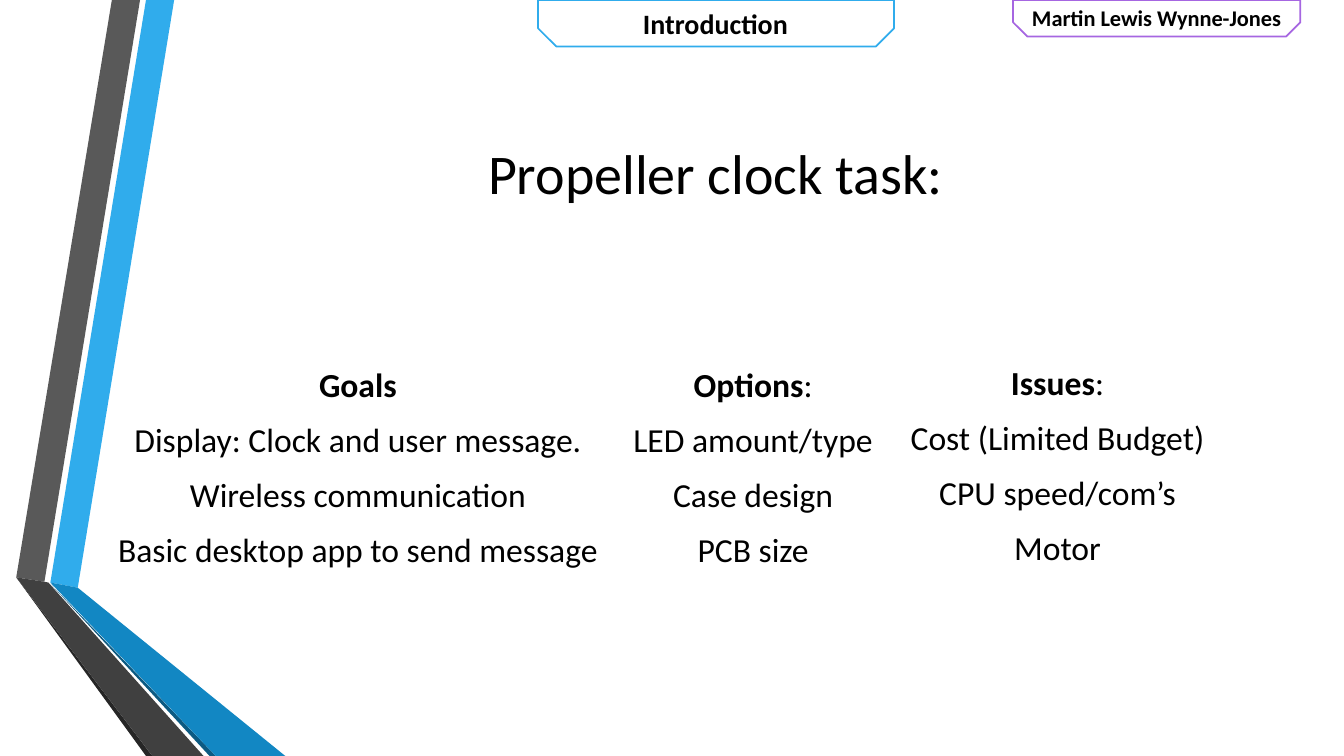
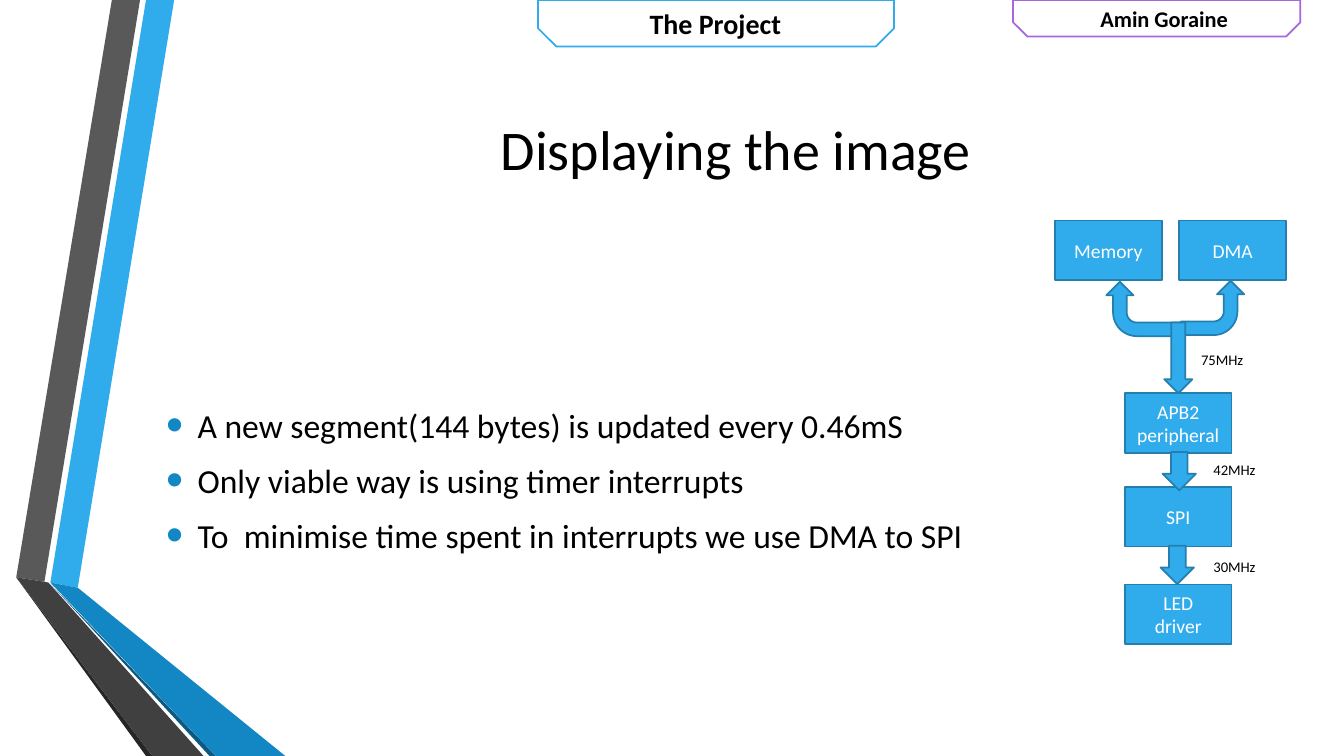
from dataclasses import dataclass

from lxml.etree import SubElement
from pptx import Presentation
from pptx.dml.color import RGBColor
from pptx.enum.shapes import MSO_SHAPE as Shape
from pptx.enum.text import MSO_ANCHOR as Anchor, PP_ALIGN as Align
from pptx.oxml.ns import qn
from pptx.util import Cm, Pt


@dataclass(frozen=True)
class Theme:
    font: str = "Calibri"
    black: str = "000000"
    white: str = "FFFFFF"
    blue: str = "30ACEC"
    blue_edge: str = "247FAF"
    blue_deep: str = "1287C3"
    blue_shade: str = "0C5A82"
    purple: str = "A666E1"
    grey: str = "595959"
    grey_deep: str = "404040"
    grey_shade: str = "262626"
    title: float = 40
    body: float = 24
    section: float = 20
    speaker: float = 16
    node: float = 14
    speed: float = 10.5
    line: float = 1.25
    space_before: float = 4.5
    space_after: float = 6


THEME = Theme()
SLIDE_SIZE = (33.87, 19.05)

BANDS = [
    (THEME.blue, [(1.27, 14.68), (1.96, 14.81), (4.39, 0), (3.68, 0)]),
    (THEME.grey, [(3.53, 0), (2.82, 0), (0.41, 14.55), (1.12, 14.66)]),
    (THEME.grey_shade, [(0.41, 14.55), (3.68, 19.05), (3.84, 19.05)]),
    (THEME.blue_shade, [(1.27, 14.71), (5.28, 19.05), (5.44, 19.05)]),
    (THEME.blue_deep, [(1.27, 14.68), (5.44, 19.05), (7.19, 19.05), (1.96, 14.81)]),
    (THEME.grey_deep, [(5.13, 19.05), (1.22, 14.68), (1.12, 14.66), (0.41, 14.55), (3.84, 19.05)]),
]
SPEAKER_TAB = (25.53, 0, 7.24, 0.92)
SECTION_TAB = (13.56, 0, 8.97, 1.17)
SECTION_TEXT = (14.07, 0.05, 7.92, 1.12)

INTRODUCTION = {
    "section": "Introduction",
    "speaker": "Martin Lewis Wynne-Jones",
    "speaker_box": (25.53, -0.03, 7.24, 0.94),
    "title": "Propeller clock task:",
    "title_box": (4.11, 1.9, 27.84, 4.88),
}
COLUMN_SIZE = (13.16, 8.69)
COLUMNS = [
    (2.44, 7.42, "Goals", "",
     ["Display: Clock and user message.", "Wireless communication", "Basic desktop app to send message"]),
    (12.4, 7.42, "Options", ":", ["LED amount/type", "Case design", "PCB size"]),
    (20.07, 7.37, "Issues", ":", ["Cost (Limited Budget)", "CPU speed/com’s", "Motor"]),
]

PROJECT = {
    "section": "The Project",
    "speaker": "Amin Goraine",
    "speaker_box": (25.53, 0, 7.62, 0.94),
    "title": "Displaying the image",
    "title_box": (3.94, 1.88, 29.21, 3.68),
}
BULLET_BOX = (3.94, 6.05, 29.21, 12.09)
BULLET_INDENT = 0.79
BULLETS = [
    "A new segment(144 bytes) is updated every 0.46mS",
    "Only viable way is using timer interrupts",
    "To  minimise time spent in interrupts we use DMA to SPI",
]
NODE_SIZE = (2.69, 1.5)
NODES = [
    ("Memory", 26.59, 5.56),
    ("DMA", 29.72, 5.56),
    ("APB2\nperipheral", 28.35, 9.91),
    ("SPI", 28.35, 12.27),
    ("LED\ndriver", 28.35, 14.73),
]
BENT_ARROWS = [((28.12, 6.86, 1.37, 1.85), False), ((29.87, 6.96, 1.37, 1.6), True)]
DOWN_ARROWS = [(29.34, 8.13, 0.71, 1.78), (29.3, 11.39, 0.84, 0.97), (29.25, 13.75, 0.84, 0.97)]
SPEED_SIZE = (1.57, 0.71)
SPEEDS = [("75MHz", 30.02, 8.71), ("42MHz", 30.33, 11.48), ("30MHz", 30.33, 13.92)]


def lengths(values):
    return [Cm(value) for value in values]


def paint(shape, fill, line=None):
    shape.shadow.inherit = False
    shape.fill.solid()
    shape.fill.fore_color.rgb = RGBColor.from_string(fill)
    if line:
        shape.line.color.rgb = RGBColor.from_string(line)
        shape.line.width = Pt(THEME.line)
    else:
        shape.line.fill.background()


def write(shape, paragraphs, size, color=THEME.black, align=Align.CENTER, anchor=Anchor.MIDDLE):
    frame = shape.text_frame
    frame.word_wrap = True
    frame.vertical_anchor = anchor
    for index, runs in enumerate(paragraphs):
        paragraph = frame.add_paragraph() if index else frame.paragraphs[0]
        paragraph.alignment = align
        for text, bold in runs:
            run = paragraph.add_run()
            run.text = text
            run.font.name = THEME.font
            run.font.size = Pt(size)
            run.font.bold = bold
            run.font.color.rgb = RGBColor.from_string(color)
    return frame.paragraphs


def add_text(slide, box, paragraphs, size, **style):
    return write(slide.shapes.add_textbox(*lengths(box)), paragraphs, size, **style)


def add_body(slide, box, paragraphs, align):
    body = add_text(slide, box, paragraphs, THEME.body, align=align)
    for paragraph in body:
        paragraph.space_before = Pt(THEME.space_before)
        paragraph.space_after = Pt(THEME.space_after)
    return body


def add_bullet(paragraph):
    properties = paragraph._p.get_or_add_pPr()
    properties.set("marL", str(Cm(BULLET_INDENT)))
    properties.set("indent", str(-Cm(BULLET_INDENT)))
    color = SubElement(properties, qn("a:buClr"))
    SubElement(color, qn("a:srgbClr"), val=THEME.blue_deep)
    SubElement(properties, qn("a:buSzPct"), val="145000")
    SubElement(properties, qn("a:buFont"), typeface="Arial")
    SubElement(properties, qn("a:buChar"), char="•")


def add_part(slide, kind, box):
    shape = slide.shapes.add_shape(kind, *lengths(box))
    paint(shape, THEME.blue, THEME.blue_edge)
    return shape


def add_tab(slide, box, line):
    tab = slide.shapes.add_shape(Shape.SNIP_2_SAME_RECTANGLE, *lengths(box))
    tab.rotation = 180
    tab.adjustments[0] = 0.39
    tab.adjustments[1] = 0
    paint(tab, THEME.white, line)


def add_slide(presentation, content):
    slide = presentation.slides.add_slide(presentation.slide_layouts[6])
    for color, points in BANDS:
        start, *rest = [lengths(point) for point in points]
        builder = slide.shapes.build_freeform(*start)
        builder.add_line_segments(rest, close=True)
        paint(builder.convert_to_shape(), color)
    add_tab(slide, SPEAKER_TAB, THEME.purple)
    add_tab(slide, SECTION_TAB, THEME.blue)
    add_text(slide, content["speaker_box"], [[(content["speaker"], True)]], THEME.speaker, anchor=Anchor.TOP)
    add_text(slide, SECTION_TEXT, [[(content["section"], True)]], THEME.section, anchor=Anchor.TOP)
    add_text(slide, content["title_box"], [[(content["title"], False)]], THEME.title)
    return slide


def build_introduction(presentation):
    slide = add_slide(presentation, INTRODUCTION)
    for left, top, heading, suffix, items in COLUMNS:
        heading_runs = [(heading, True)] + ([(suffix, False)] if suffix else [])
        paragraphs = [heading_runs] + [[(item, False)] for item in items]
        add_body(slide, (left, top, *COLUMN_SIZE), paragraphs, Align.CENTER)


def build_project(presentation):
    slide = add_slide(presentation, PROJECT)
    for label, left, top in NODES:
        node = add_part(slide, Shape.RECTANGLE, (left, top, *NODE_SIZE))
        write(node, [[(line, False)] for line in label.split("\n")], THEME.node, THEME.white)
    for box, flipped in BENT_ARROWS:
        arrow = add_part(slide, Shape.BENT_ARROW, box)
        arrow.rotation = 270
        if flipped:
            arrow._element.spPr.xfrm.set("flipV", "1")
    for box in DOWN_ARROWS:
        add_part(slide, Shape.DOWN_ARROW, box)
    for speed, left, top in SPEEDS:
        add_text(slide, (left, top, *SPEED_SIZE), [[(speed, False)]], THEME.speed,
                 align=Align.LEFT, anchor=Anchor.TOP)
    for paragraph in add_body(slide, BULLET_BOX, [[(bullet, False)] for bullet in BULLETS], Align.LEFT):
        add_bullet(paragraph)


def main():
    presentation = Presentation()
    presentation.slide_width, presentation.slide_height = lengths(SLIDE_SIZE)
    build_introduction(presentation)
    build_project(presentation)
    presentation.save("out.pptx")


if __name__ == "__main__":
    main()
